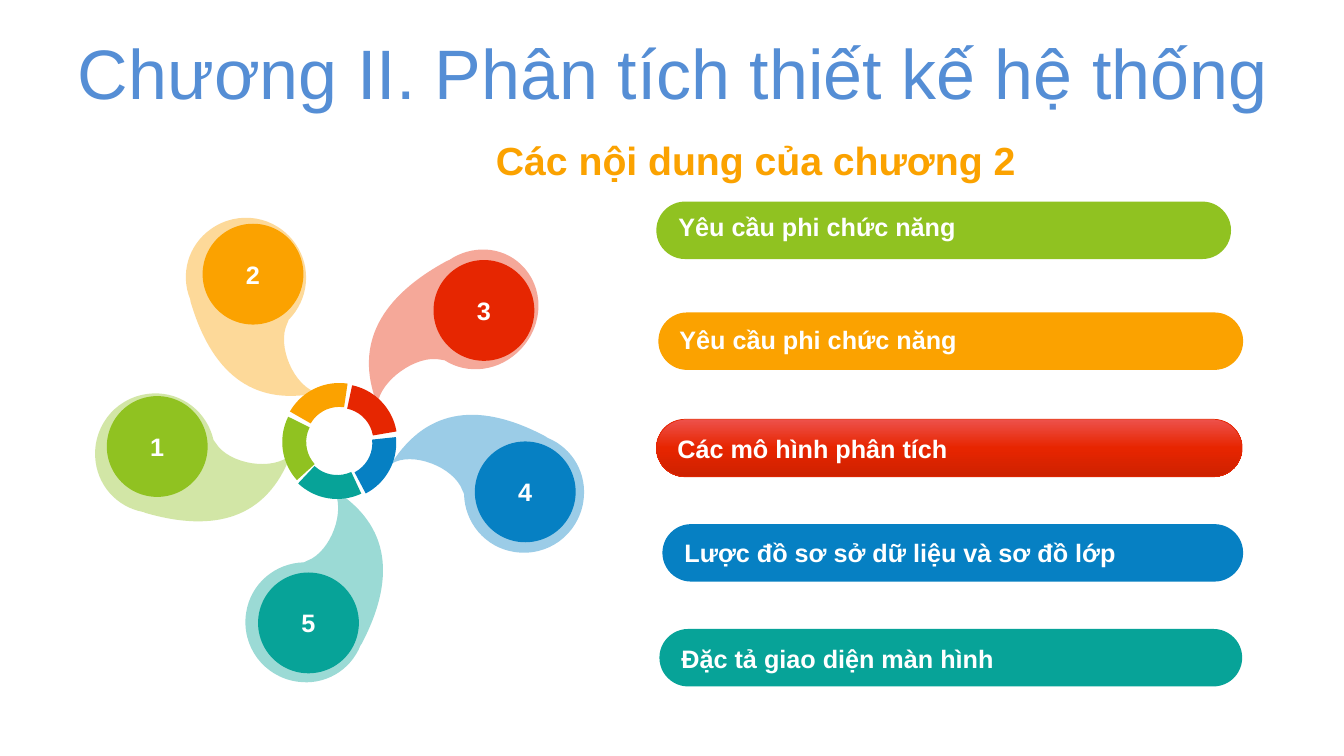
from copy import deepcopy

from lxml import etree
from pptx import Presentation
from pptx.dml.color import RGBColor
from pptx.enum.shapes import MSO_SHAPE
from pptx.enum.text import MSO_ANCHOR, PP_ALIGN
from pptx.oxml.ns import qn
from pptx.util import Inches, Pt

ROUND_RECT = MSO_SHAPE.ROUNDED_RECTANGLE
ELLIPSE = MSO_SHAPE.OVAL
BLOCK_ARC = MSO_SHAPE.BLOCK_ARC
CENTER, LEFT = PP_ALIGN.CENTER, PP_ALIGN.LEFT
MIDDLE, TOP = MSO_ANCHOR.MIDDLE, MSO_ANCHOR.TOP

FONT = "Arial"
COLORS = {
    "title": "558ED5", "white": "FFFFFF", "green": "90C221", "orange": "FBA200",
    "red": "E62601", "blue": "0680C3", "teal": "07A398",
    "red_light": "ED514B", "red_mid": "E72500", "red_dark": "CD2100",
}
RED_GRADIENT = [(0, "red_light"), (0.5, "red_mid"), (1, "red_dark")]

# Pill: left, top, width; label: left, top, width, height (inches from the list's corner)
ROWS = [
    ("green", "Yêu cầu phi chức năng", (0, 0, 5.7), (0.12, 0.05, 5.58, 0.47)),
    ("orange", "Yêu cầu phi chức năng", (0.02, 1.1, 5.8), (0.13, 1.17, 5.38, 0.4)),
    ("red", "Các mô hình phân tích", (0, 2.16, 5.81), (0.11, 2.25, 5.18, 0.4)),
    ("blue", "Lược đồ sơ sở dữ liệu và sơ đồ lớp", (0.06, 3.2, 5.76), (0.18, 3.28, 5.34, 0.4)),
    ("teal", "Đặc tả giao diện màn hình", (0.03, 4.24, 5.78), (0.15, 4.33, 5.18, 0.4)),
]

# Petal box and rotation, disc corner, ring corner and rotation (inches from the flower's corner)
PETALS = [
    ("green", (0.32, 1.44, 1.29, 1.94), 87.3, (0.11, 1.81), (1.85, 1.7), 318),
    ("orange", (1.02, 0, 1.29, 1.94), 144.8, (1.06, 0.1), (1.85, 1.68), 30),
    ("red", (2.88, 0.2, 1.24, 1.99), 223.7, (3.35, 0.46), (1.86, 1.69), 102),
    ("blue", (3.24, 1.69, 1.29, 1.94), 279.1, (3.76, 2.26), (1.85, 1.71), 174),
    ("teal", (1.54, 2.72, 1.29, 1.94), 8.7, (1.61, 3.56), (1.83, 1.7), 245),
]

# Upright petal: curves as two controls and an end, a line as its end alone
PETAL_SIZE = (1.29, 1.94)
PETAL_START = (0.6, 1.94)
PETAL_SEGMENTS = [
    ((0.27, 1.94), (0, 1.68), (0, 1.34)),
    ((0, 1.05), (0.21, 0.81), (0.49, 0.76)),
    ((0.5, 0.75), (0.51, 0.75), (0.52, 0.74)),
    ((0.74, 0.62), (0.83, 0.18), (0.67, 0)),
    ((1.3, 0.27), (1.41, 0.8), (1.18, 1.47)),
    ((1.17, 1.49),),
    ((1.11, 1.75), (0.88, 1.94), PETAL_START),
]


def rgb(name):
    return RGBColor.from_string(COLORS[name])


def paint(sp, color):
    sp.shadow.inherit = False
    sp.fill.solid()
    sp.fill.fore_color.rgb = rgb(color)
    sp.line.fill.background()


def write(sp, text, size, color, bold=True, align=LEFT, anchor=TOP):
    tf = sp.text_frame
    tf.word_wrap = True
    tf.vertical_anchor = anchor
    p = tf.paragraphs[0]
    p.alignment = align
    r = p.add_run()
    r.text = text
    r.font.name = FONT
    r.font.size = Pt(size)
    r.font.bold = bold
    r.font.color.rgb = rgb(color)
    return p


def add_text(slide, box, text, size, color, **style):
    sp = slide.shapes.add_textbox(*map(Inches, box))
    return write(sp, text, size, color, **style)


def add_preset(slide, kind, box, color):
    sp = slide.shapes.add_shape(kind, *map(Inches, box))
    paint(sp, color)
    return sp


def add_heading(slide, x, y):
    p = add_text(slide, (x, y, 12.66, 0.79), "Chương II. Phân tích thiết kế hệ thống",
                 50, "title", bold=False, align=CENTER, anchor=MIDDLE)
    p.line_spacing = 0.9
    p.space_before = Pt(10)
    add_text(slide, (x + 4.47, y + 0.93, 5.63, 0.57), "Các nội dung của chương 2",
             28, "orange")


def set_glossy(sp):
    """Give the pill a top-to-bottom gradient and a thin edge."""
    sp.fill.gradient()
    stop_list = sp._element.spPr.find(".//" + qn("a:gsLst"))
    stop_list.append(deepcopy(stop_list[0]))
    for stop, (position, color) in zip(sp.fill.gradient_stops, RED_GRADIENT):
        stop.position = position
        stop.color.rgb = rgb(color)
    sp.fill.gradient_angle = 270
    sp.line.color.rgb = rgb("red")
    sp.line.width = Pt(0.5)


def add_topic_list(slide, x, y):
    for color, text, (px, py, pw), (tx, ty, tw, th) in ROWS:
        pill = add_preset(slide, ROUND_RECT, (x + px, y + py, pw, 0.57), color)
        pill.adjustments[0] = 0.5
        if color == "red":
            set_glossy(pill)
        add_text(slide, (x + tx, y + ty, tw, th), text, 18, "white")


def curve_outline(sp):
    """Replace the freeform's straight outline by the petal's curves."""
    outline = sp._element.spPr.find(".//" + qn("a:path"))
    for child in list(outline):
        outline.remove(child)
    for key, length in zip("wh", PETAL_SIZE):
        outline.set(key, str(Inches(length)))
    for points in [(PETAL_START,)] + PETAL_SEGMENTS:
        if len(outline) == 0:
            tag = "a:moveTo"
        else:
            tag = "a:cubicBezTo" if len(points) == 3 else "a:lnTo"
        segment = etree.SubElement(outline, qn(tag))
        for px, py in points:
            etree.SubElement(segment, qn("a:pt"), x=str(Inches(px)), y=str(Inches(py)))
    etree.SubElement(outline, qn("a:close"))


def add_petal(slide, box, rotation, color):
    ends = [(Inches(px), Inches(py)) for px, py in (points[-1] for points in PETAL_SEGMENTS)]
    builder = slide.shapes.build_freeform(*ends[-1])
    builder.add_line_segments(ends[:-1], close=True)
    sp = builder.convert_to_shape()
    curve_outline(sp)
    sp.left, sp.top, sp.width, sp.height = map(Inches, box)
    sp.rotation = rotation
    paint(sp, color)
    rgb_fill = sp._element.spPr.find(qn("a:solidFill"))[0]
    etree.SubElement(rgb_fill, qn("a:alpha"), val="40000")


def add_flower(slide, x, y):
    for color, _, _, _, (rx, ry), ring_rotation in PETALS:
        arc = add_preset(slide, BLOCK_ARC, (x + rx, y + ry, 1.13, 1.13), color)
        arc.rotation = ring_rotation
        for i, value in enumerate((108, 149.02, 0.21)):
            arc.adjustments[i] = value
    for number, (color, (px, py, pw, ph), rotation, (dx, dy), _, _) in enumerate(PETALS, 1):
        add_petal(slide, (x + px, y + py, pw, ph), rotation, color)
        disc = add_preset(slide, ELLIPSE, (x + dx, y + dy, 1, 1), color)
        write(disc, str(number), 18, "white", align=CENTER, anchor=MIDDLE)


def main():
    prs = Presentation()
    prs.slide_width, prs.slide_height = Inches(13.33), Inches(7.5)
    slide = prs.slides.add_slide(prs.slide_layouts[6])
    add_heading(slide, 0.35, 0.37)
    add_topic_list(slide, 6.51, 2)
    add_flower(slide, 0.95, 2.12)
    prs.save("out.pptx")


if __name__ == "__main__":
    main()
